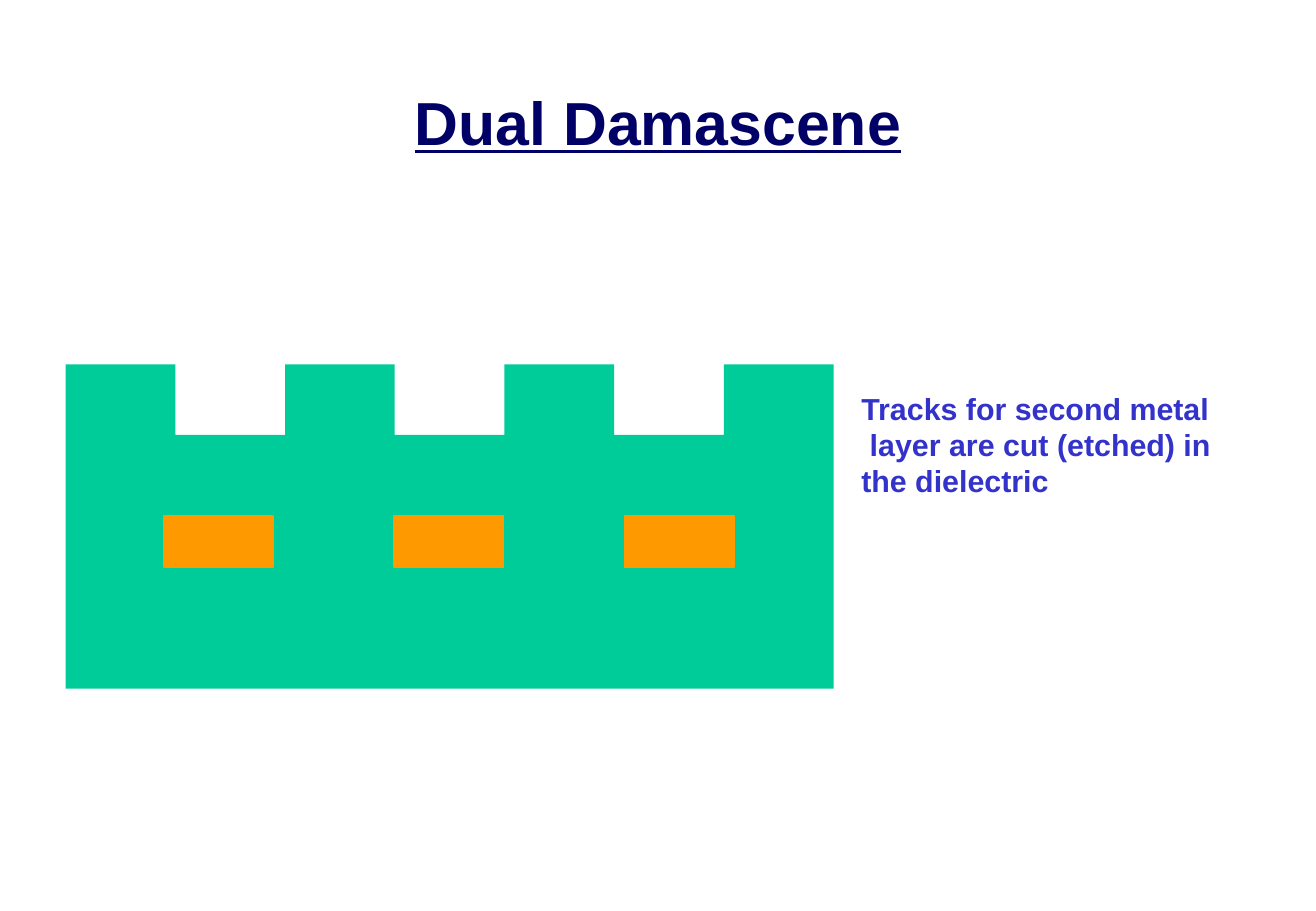
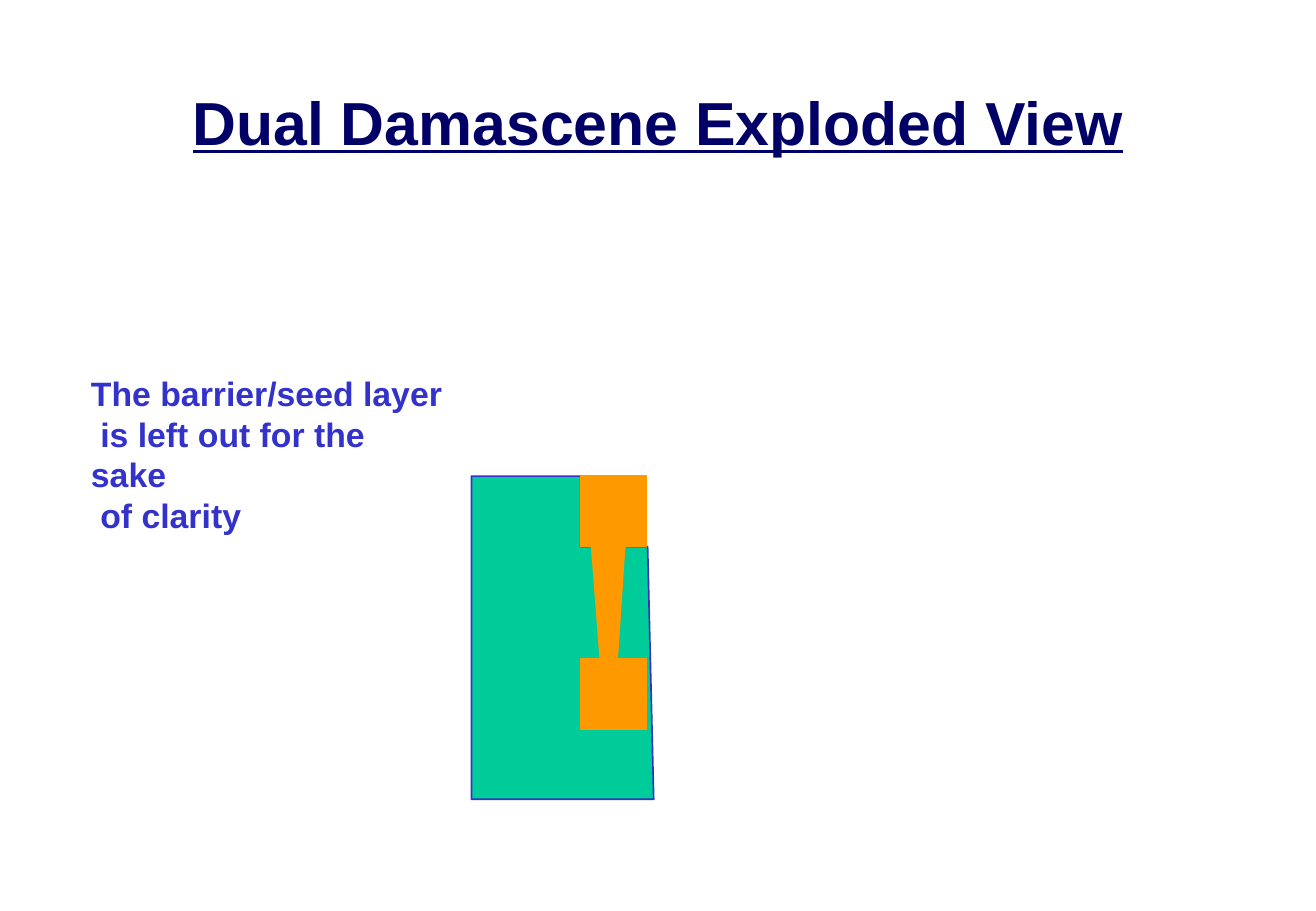
from pptx import Presentation
from pptx.dml.color import RGBColor
from pptx.enum.shapes import MSO_SHAPE
from pptx.enum.text import MSO_ANCHOR, MSO_AUTO_SIZE, PP_ALIGN
from pptx.util import Inches, Pt

RECTANGLE = MSO_SHAPE.RECTANGLE
MIDDLE, TOP = MSO_ANCHOR.MIDDLE, MSO_ANCHOR.TOP
CENTER, LEFT = PP_ALIGN.CENTER, PP_ALIGN.LEFT
FIT_SHAPE, NO_FIT = MSO_AUTO_SIZE.SHAPE_TO_FIT_TEXT, MSO_AUTO_SIZE.NONE

DIELECTRIC, METAL, INK = "00CC99", "FF9900", "3333CC"
TITLE_FONT = {"name": "Arial", "size": Pt(36), "bold": True, "underline": True}
NOTE_FONT = {"name": "Arial", "bold": True}


def paint(shape, fill, line=None):
    """Give a shape a flat fill and an optional 1 pt outline."""
    shape.shadow.inherit = False
    shape.fill.solid()
    shape.fill.fore_color.rgb = RGBColor.from_string(fill)
    if line:
        shape.line.color.rgb = RGBColor.from_string(line)
        shape.line.width = Pt(1)
    else:
        shape.line.fill.background()


def draw_outline(page, points, fill, line=None):
    """Draw a closed polygon through points given in inches."""
    corners = [(Inches(x), Inches(y)) for x, y in points]
    builder = page.shapes.build_freeform(*corners[0])
    builder.add_line_segments(corners[1:], close=True)
    paint(builder.convert_to_shape(), fill, line)


deck = Presentation()
deck.slide_width, deck.slide_height = Inches(10.83), Inches(7.5)
blank = deck.slide_layouts[6]

slides = [
    ("Dual Damascene", (6.99, 3.16, 3.14, 1), 18,
     ["Tracks for second metal", " layer are cut (etched) in", "the dielectric"]),
    ("Dual Damascene Exploded View", (0.65, 3.02, 3.15, 1.1), 20,
     ["The barrier/seed layer", " is left out for the sake", " of clarity"]),
]

# Titles and notes
pages = []
for title, note_place, note_size, note in slides:
    page = deck.slides.add_slide(blank)
    pages.append(page)
    texts = [
        ((0.45, 0.37, 9.93, 1.25), [title], TITLE_FONT, "000066", CENTER, MIDDLE, True, NO_FIT),
        (note_place, note, {**NOTE_FONT, "size": Pt(note_size)}, INK, LEFT, TOP, False, FIT_SHAPE),
    ]
    for place, lines, font, color, align, anchor, wrap, fit in texts:
        box = page.shapes.add_textbox(*map(Inches, place))
        frame = box.text_frame
        frame.word_wrap, frame.auto_size, frame.vertical_anchor = wrap, fit, anchor
        frame.text = "\n".join(lines)
        for para in frame.paragraphs:
            para.alignment = align
            for span in para.runs:
                for name, value in font.items():
                    setattr(span.font, name, value)
                span.font.color.rgb = RGBColor.from_string(color)

section_page, detail_page = pages

# Dielectric with three etched tracks: seven equal steps, ridge and track in turn
left, top, track_floor, bottom = 0.54, 3, 3.58, 5.67
step = 6.32 / 7
profile = [(left, bottom)]
for index in range(7):
    level = track_floor if index % 2 else top
    profile += [(left + index * step, level), (left + (index + 1) * step, level)]
profile.append((left + 7 * step, bottom))
draw_outline(section_page, profile, DIELECTRIC)

# Exploded view: dielectric behind the metal
draw_outline(detail_page, [(3.88, 3.92), (4.78, 3.92), (4.78, 4.5), (5.33, 4.5),
                           (5.38, 6.58), (3.88, 6.58)], DIELECTRIC, INK)

# First metal layer, then the lower and upper metal of the exploded view
metal = [(section_page, 1.35 + index * 1.895, 4.25, 0.9, 0.42) for index in range(3)]
metal += [(detail_page, 4.78, y, 0.54, 0.58) for y in (5.42, 3.92)]
for page, *place in metal:
    paint(page.shapes.add_shape(RECTANGLE, *map(Inches, place)), METAL, METAL)

# Tapered via between the two metal layers
draw_outline(detail_page, [(4.87, 4.5), (5.14, 4.5), (5.08, 5.42), (4.94, 5.42)], METAL, METAL)

deck.save("out.pptx")
